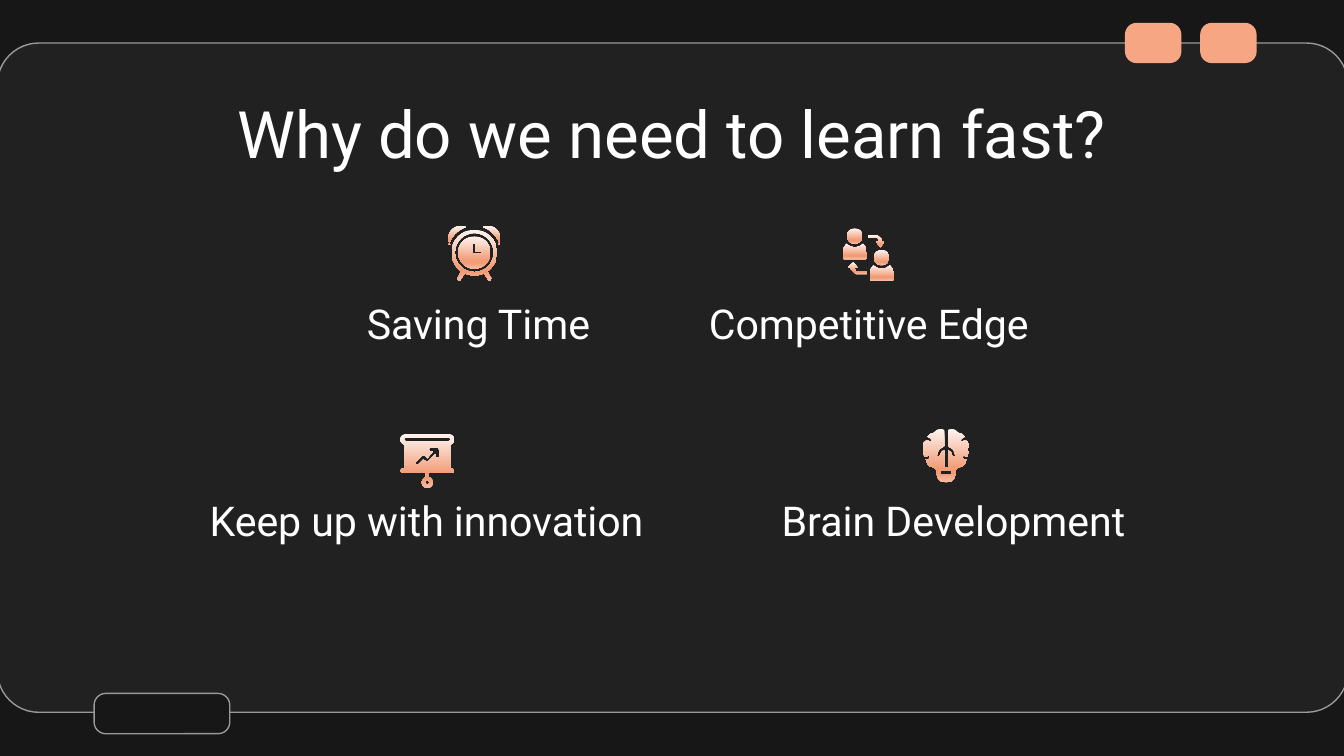
from math import cos, radians, sin

from lxml import etree
from pptx import Presentation
from pptx.dml.color import RGBColor
from pptx.enum.shapes import MSO_SHAPE
from pptx.enum.text import MSO_ANCHOR, PP_ALIGN
from pptx.oxml.ns import qn
from pptx.util import Inches, Pt

ROUNDED = MSO_SHAPE.ROUNDED_RECTANGLE
TOP, BOTTOM = MSO_ANCHOR.TOP, MSO_ANCHOR.BOTTOM
CENTER = PP_ALIGN.CENTER

BACKDROP = RGBColor(0x17, 0x17, 0x17)
PANEL = RGBColor(0x21, 0x21, 0x21)
OUTLINE = RGBColor(0x99, 0x99, 0x99)
PEACH = RGBColor(0xF6, 0xA6, 0x83)
WHITE = RGBColor(0xFF, 0xFF, 0xFF)
ICON_STOPS = [
    (0, RGBColor(0xFE, 0xF4, 0xF0)),
    (74, RGBColor(0xF2, 0x9C, 0x77)),
    (83, RGBColor(0xF2, 0x9C, 0x77)),
    (100, RGBColor(0xF6, 0xBD, 0xA4)),
]

FONT = "Roboto"
TITLE = ("Why do we need to learn fast?", (0.78, 0.59, 8.44, 0.63), 35, TOP)
REASONS = [
    ("Saving Time", (2.55, 2.13, 2.02, 0.56)),
    ("Competitive Edge", (4.98, 2.13, 2.97, 0.56)),
    ("Keep up with innovation", (1.06, 3.59, 4.23, 0.56)),
    ("Brain Development", (4.98, 3.59, 4.23, 0.56)),
]
FRAME = [
    ((-0.02, 0.32, 10.05, 4.98), 0.062, PANEL, OUTLINE),
    ((8.93, 0.17, 0.42, 0.3), 0.289, PEACH, None),
    ((8.37, 0.17, 0.42, 0.3), 0.289, PEACH, None),
    ((0.7, 5.16, 1.01, 0.3), 0.289, BACKDROP, OUTLINE),
]


def arc(cx, cy, radius, start=0, end=360):
    steps = max(6, round(abs(end - start) / 10))
    angles = [radians(start + (end - start) * i / steps) for i in range(steps + 1)]
    return [(cx + radius * cos(a), cy + radius * sin(a)) for a in angles]


def mirror(points, axis):
    return [(2 * axis - x, y) for x, y in points]


def shift(points, dx, dy):
    return [(x + dx, y + dy) for x, y in points]


def clock():
    right_foot = [(32.5, 39), (32, 41), (30.5, 40.5), (27, 35)]
    left_foot = mirror(right_foot, 20)[::-1]
    case = arc(20, 20, 17, 125, 415) + right_foot + arc(20, 20, 17, 65, 115) + left_foot
    hands = [(18.5, 13.5), (20.5, 13.5), (20.5, 19), (25.5, 19), (25.5, 21), (18.5, 21)]
    bell = arc(30, 9.3, 9.3, -115, 30) + arc(20, 20, 20, -18, -71)
    return [[case, arc(20, 20, 14.5)], [arc(20, 20, 12), hands], [bell], [mirror(bell, 20)]]


def people():
    head = arc(9, 5.7, 5.7)
    body = [(1, 23), (0, 22), (0, 18), (1, 14)] + arc(9, 6, 8, 140, 40)
    body += [(17, 14), (18, 18), (18, 22), (17, 23)]
    onward = [(19, 5), (26, 5), (29, 8), (29, 10), (31, 10), (28, 14),
              (25, 10), (27, 10), (27, 8), (26, 7), (19, 7)]
    back = [(18, 34), (10, 34), (6, 30), (6, 29), (4, 29), (8, 25),
            (11, 29), (9, 29), (9, 30), (10, 32), (18, 32)]
    second = [shift(part, 20, 16) for part in (head, body)]
    return [[part] for part in (head, body, *second, onward, back)]


def board():
    stand = [(37, 8), (37, 26), (39, 26), (40, 27), (39, 29), (21, 29), (21, 32)]
    screen = arc(36, 4, 4, 270, 420) + stand + arc(20, 36, 4, -75, 255)
    screen += mirror(stand, 20)[::-1] + arc(4, 4, 4, 120, 270)
    slot = arc(36, 4, 1.2, -90, 90) + arc(4, 4, 1.2, 90, 270)
    trend = [(28, 10), (29, 12), (29, 17), (28, 18), (26, 17), (26, 15), (20, 21),
             (17, 19), (13, 23), (11, 23), (11, 21), (16, 16), (18, 16), (20, 18),
             (24, 13), (22, 13), (21, 12), (22, 10)]
    return [[screen, slot, trend, arc(20, 36, 1.5)]]


def brain():
    half = [(17, 29), (15.5, 29), (15.5, 16), (13.5, 17.5), (12.5, 20), (11, 21),
            (10, 20), (11.5, 15.5), (15.5, 13), (15.5, 1), (13, 0), (10, 1), (8, 3),
            (5, 4), (3, 6), (5, 7), (6, 8), (6, 9), (5, 10), (4, 9), (2, 9), (0, 11),
            (0, 13), (0.5, 15.5), (0, 18), (1, 21), (4, 20), (5, 21), (4, 23), (2, 23),
            (3, 26), (5, 28), (8, 29), (10, 31), (10, 34), (11, 37), (13, 39), (17, 40)]
    base = [(13, 31), (21, 31), (21, 34), (13, 34)]
    return [[half + mirror(half, 17)[::-1], base]]


ICONS = [(clock, 3.33, 1.68), (people, 6.27, 1.7), (board, 2.98, 3.23), (brain, 6.87, 3.19)]


def add_frame_part(slide, box, corner, color, border):
    part = slide.shapes.add_shape(ROUNDED, *map(Inches, box))
    part.shadow.inherit = False
    part.adjustments[0] = corner
    part.fill.solid()
    part.fill.fore_color.rgb = color
    if border is None:
        part.line.fill.background()
    else:
        part.line.color.rgb = border
        part.line.width = Pt(0.75)


def add_label(slide, text, box, size, anchor):
    frame = slide.shapes.add_textbox(*map(Inches, box)).text_frame
    frame.word_wrap = True
    frame.vertical_anchor = anchor
    frame.margin_left = frame.margin_right = Inches(0.1)
    frame.margin_top = frame.margin_bottom = Inches(0.1)
    frame.text = text
    line = frame.paragraphs[0]
    line.alignment = CENTER
    font = line.runs[0].font
    font.name, font.size, font.color.rgb = FONT, Pt(size), WHITE


def shade(shape):
    shape.fill.gradient()
    shape.fill.gradient_angle = 270
    stops = shape.element.spPr.find(qn("a:gradFill")).find(qn("a:gsLst"))
    for stop in list(stops):
        stops.remove(stop)
    for percent, color in ICON_STOPS:
        stop = etree.SubElement(stops, qn("a:gs"), pos=str(percent * 1000))
        etree.SubElement(stop, qn("a:srgbClr"), val=str(color))


def add_icon(slide, parts, left, top):
    for contours in parts:
        scaled = [[(Inches(x / 100), Inches(y / 100)) for x, y in c] for c in contours]
        builder = slide.shapes.build_freeform(*scaled[0][0])
        builder.add_line_segments(scaled[0][1:])
        for hole in scaled[1:]:
            builder.move_to(*hole[0])
            builder.add_line_segments(hole[1:])
        shape = builder.convert_to_shape(Inches(left), Inches(top))
        shape.shadow.inherit = False
        shape.line.fill.background()
        shade(shape)


def main():
    deck = Presentation()
    deck.slide_width = Inches(10)
    deck.slide_height = deck.slide_width * 9 // 16
    slide = deck.slides.add_slide(deck.slide_layouts[6])
    slide.background.fill.solid()
    slide.background.fill.fore_color.rgb = BACKDROP
    for part in FRAME:
        add_frame_part(slide, *part)
    add_label(slide, *TITLE)
    for reason, box in REASONS:
        add_label(slide, reason, box, 22, BOTTOM)
    for draw, left, top in ICONS:
        add_icon(slide, draw(), left, top)
    deck.save("out.pptx")


if __name__ == "__main__":
    main()
